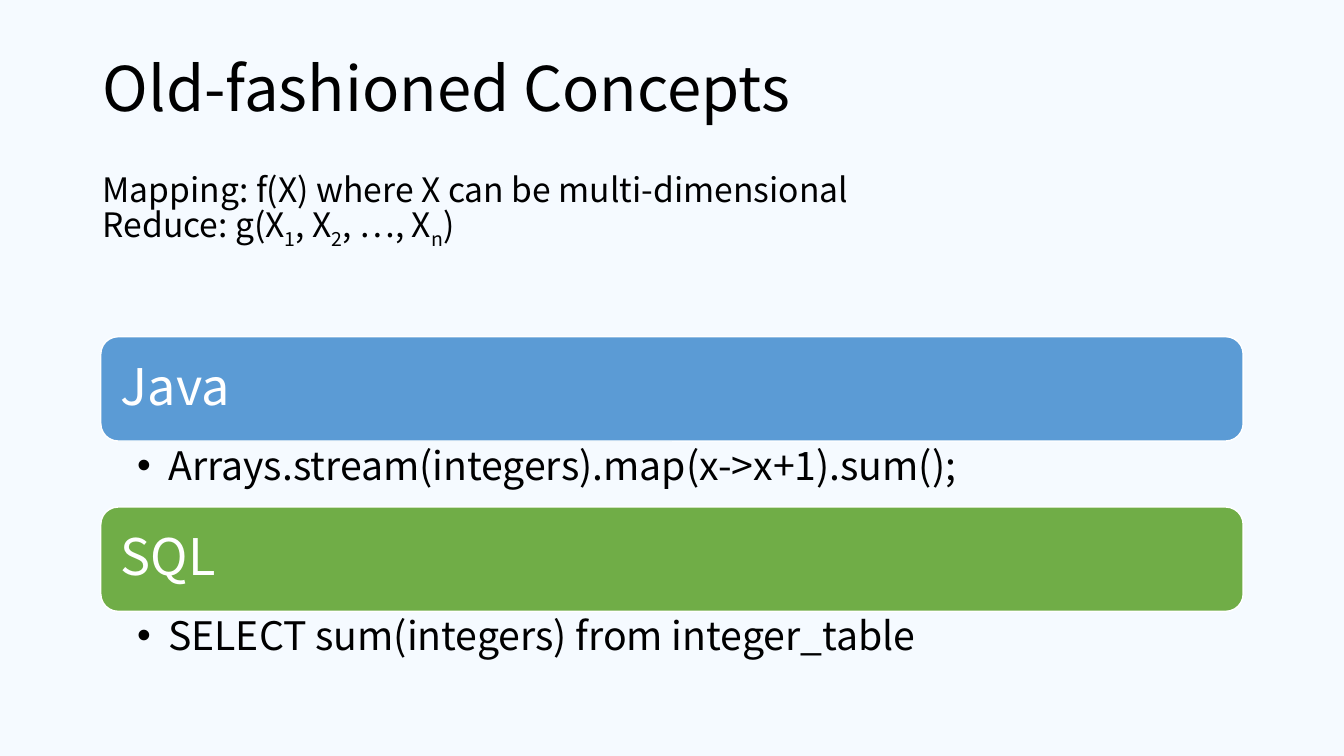
import pptx
import pptx.dml.color
import pptx.enum.shapes
import pptx.enum.text
import pptx.oxml.ns
import pptx.util
import lxml.etree

COLUMNS, ROWS = 40, 30
MARGIN, CONTENT_WIDTH = 3, 34
CARD_TOP, CARD_HEIGHT, LIST_HEIGHT = 13.36, 4.14, 2.62
BULLET_INDENT = pptx.util.Inches(0.31)

FORMATS = {
    "title": {"size": pptx.util.Pt(44), "color": "000000"},
    "definition": {"size": pptx.util.Pt(24), "color": "000000"},
    "card": {"size": pptx.util.Pt(36), "color": "FFFFFF"},
    "example": {"size": pptx.util.Pt(28), "color": "000000"},
}
SPACING = {
    "title": {"line_spacing": 0.9},
    "definition": {"line_spacing": pptx.util.Pt(28.8)},
    "card": {"line_spacing": 0.9},
    "example": {"line_spacing": pptx.util.Pt(30.2)},
}

DEFINITIONS = [
    [("Mapping: f(X) where X can be multi-dimensional", False)],
    [("Reduce: g(X", False), ("1", True), (", X", False), ("2", True),
     (", …, X", False), ("n", True), (")", False)],
]
LANGUAGES = [
    ("Java", "5B9BD5", "Arrays.stream(integers).map(x->x+1).sum();"),
    ("SQL", "70AD47", "SELECT sum(integers) from integer_table"),
]


def rgb(hex_code):
    return pptx.dml.color.RGBColor.from_string(hex_code)


def apply(target, values):
    for name, value in values.items():
        setattr(target, name, value)


class ConceptSlide:
    def __init__(self, deck, layout, font, background):
        self.deck, self.font = deck, font
        self.slide = deck.slides.add_slide(layout)
        fill = self.slide.background.fill
        fill.solid()
        fill.fore_color.rgb = rgb(background)

    def place(self, column, row, width, height):
        """Turn grid units into left, top, width and height."""
        across = self.deck.slide_width / COLUMNS
        down = self.deck.slide_height / ROWS
        return (round(column * across), round(row * down),
                round(width * across), round(height * down))

    def move(self, placeholder, area):
        names = ("left", "top", "width", "height")
        apply(placeholder, dict(zip(names, self.place(*area))))

    def frame(self, shape, anchor, margins):
        """Set wrapping, anchor and the four insets, given in inches."""
        sides = ("margin_left", "margin_top", "margin_right", "margin_bottom")
        apply(shape.text_frame, {
            "word_wrap": True,
            "auto_size": pptx.enum.text.MSO_AUTO_SIZE.NONE,
            "vertical_anchor": anchor,
            **dict(zip(sides, map(pptx.util.Inches, margins))),
        })

    def add_text(self, paragraph, pieces, role):
        """Add (text, is_subscript) pieces in the style of the role."""
        apply(paragraph, {
            "alignment": pptx.enum.text.PP_ALIGN.LEFT,
            "space_before": pptx.util.Pt(0),
            "space_after": pptx.util.Pt(0),
            **SPACING[role],
        })
        for text, is_subscript in pieces:
            run = paragraph.add_run()
            run.text = text
            apply(run.font, {"name": self.font, "size": FORMATS[role]["size"]})
            run.font.color.rgb = rgb(FORMATS[role]["color"])
            if is_subscript:
                run.font._element.set("baseline", "-25000")

    def title(self, text, area):
        heading = self.slide.shapes.title
        self.move(heading, area)
        self.frame(heading, pptx.enum.text.MSO_ANCHOR.MIDDLE, (0.1, 0.05, 0.1, 0.05))
        self.add_text(heading.text_frame.paragraphs[0], [(text, False)], "title")

    def definitions(self, lines, area):
        box = self.slide.shapes.add_textbox(*self.place(*area))
        self.frame(box, pptx.enum.text.MSO_ANCHOR.TOP, (0.1, 0.05, 0.1, 0.05))
        for index, pieces in enumerate(lines):
            text_frame = box.text_frame
            paragraph = text_frame.add_paragraph() if index else text_frame.paragraphs[0]
            self.add_text(paragraph, pieces, "definition")

    def card(self, name, color, area):
        card = self.slide.shapes.add_shape(
            pptx.enum.shapes.MSO_SHAPE.ROUNDED_RECTANGLE, *self.place(*area))
        card.shadow.inherit = False
        card.fill.solid()
        card.fill.fore_color.rgb = rgb(color)
        card.line.color.rgb = rgb("FFFFFF")
        card.line.width = pptx.util.Pt(1)
        self.frame(card, pptx.enum.text.MSO_ANCHOR.MIDDLE, (0.15,) * 4)
        self.add_text(card.text_frame.paragraphs[0], [(name, False)], "card")

    def example(self, text, placeholder, area):
        self.move(placeholder, area)
        self.frame(placeholder, pptx.enum.text.MSO_ANCHOR.TOP, (0.36, 0.05, 0.28, 0.05))
        paragraph = placeholder.text_frame.paragraphs[0]
        self.add_text(paragraph, [(text, False)], "example")
        properties = paragraph._p.get_or_add_pPr()
        properties.set("marL", str(int(BULLET_INDENT)))
        properties.set("indent", str(-int(BULLET_INDENT)))
        bullet = lxml.etree.SubElement(properties, pptx.oxml.ns.qn("a:buChar"))
        bullet.set("char", "•")


def main():
    deck = pptx.Presentation()
    deck.slide_width = pptx.util.Inches(13.33)
    deck.slide_height = pptx.util.Inches(7.5)
    two_content = deck.slide_layouts[3]
    concepts = ConceptSlide(deck, two_content, "Noto Sans CJK SC", "F5FAFF")
    concepts.title("Old-fashioned Concepts", (2.76, 0.72, 34.5, 5.8))
    concepts.definitions(DEFINITIONS, (2.76, 6.52, 27.75, 3.64))

    example_bodies = list(concepts.slide.placeholders)[1:]
    for index, (name, color, code) in enumerate(LANGUAGES):
        top = CARD_TOP + index * (CARD_HEIGHT + LIST_HEIGHT)
        concepts.card(name, color, (MARGIN, top, CONTENT_WIDTH, CARD_HEIGHT))
        concepts.example(code, example_bodies[index],
                         (MARGIN, top + CARD_HEIGHT, CONTENT_WIDTH, LIST_HEIGHT))
    deck.save("out.pptx")


if __name__ == "__main__":
    main()
